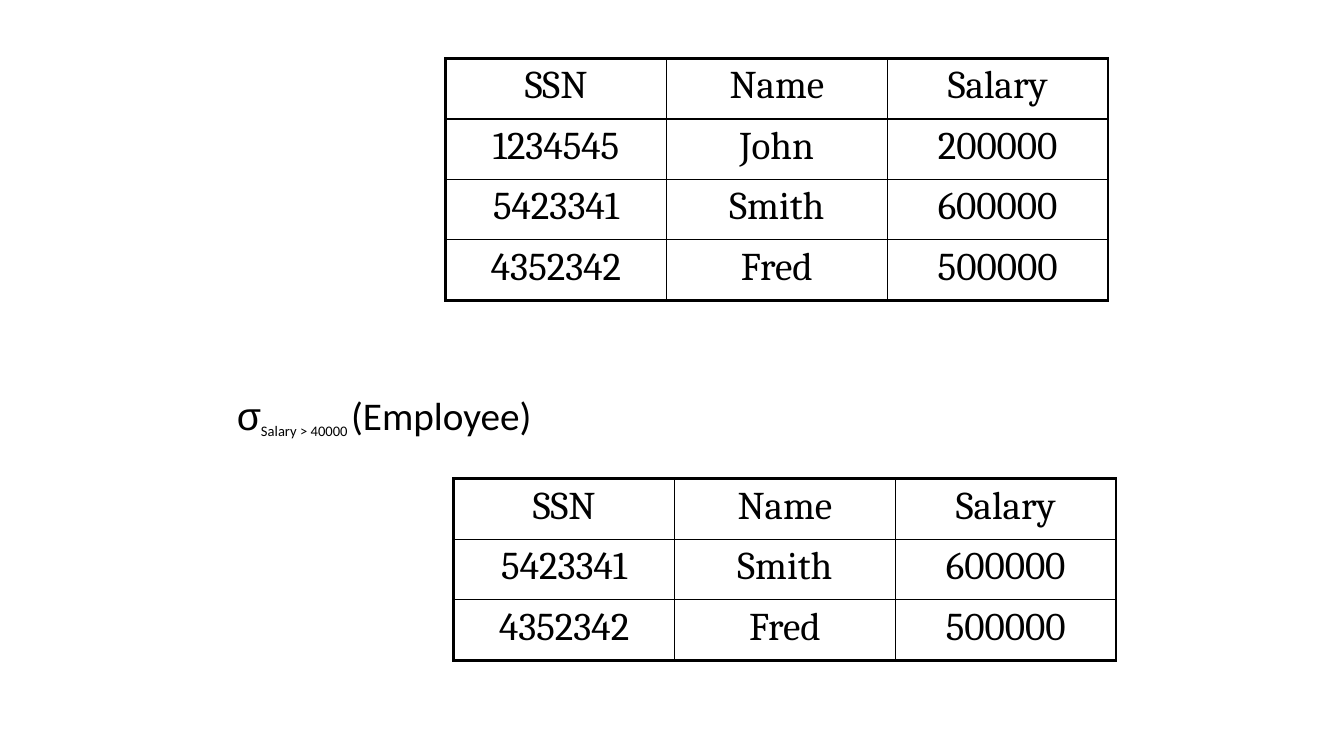
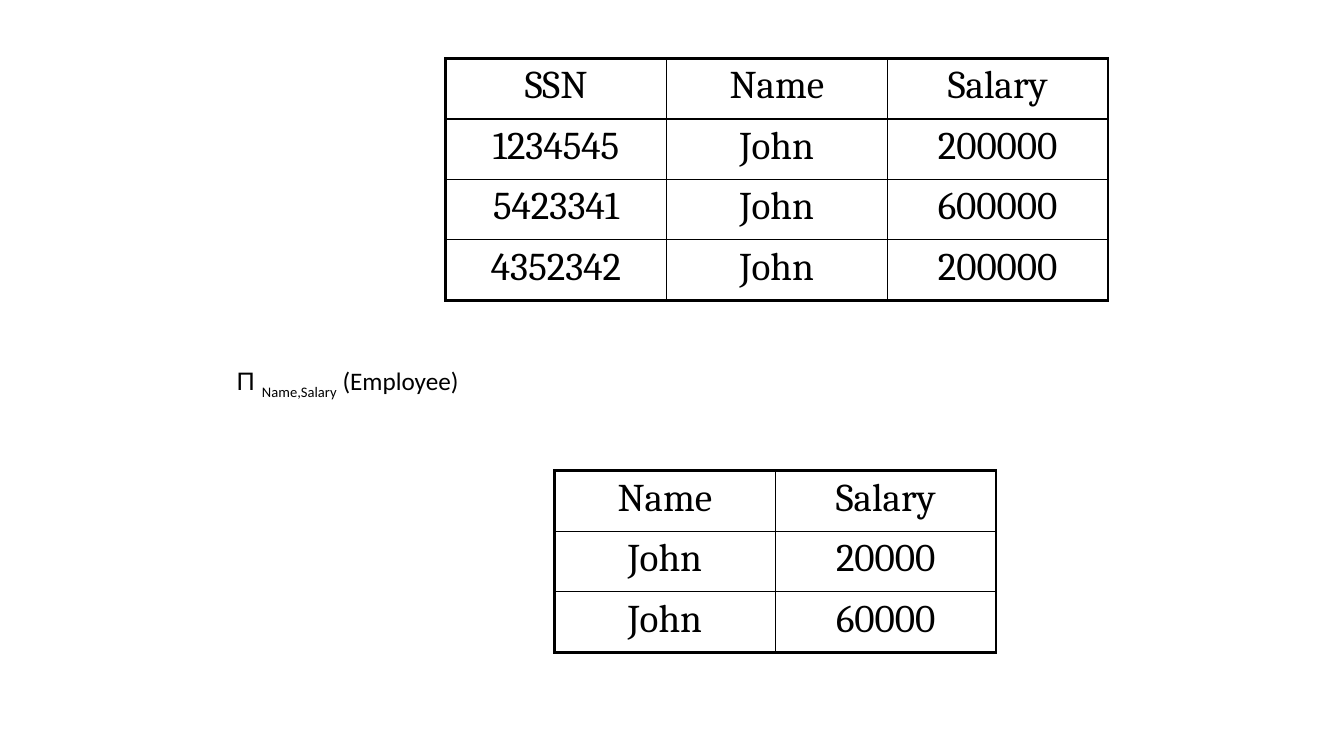
"""Build two slides showing selection and projection on an Employee relation."""
from dataclasses import dataclass

from lxml import etree
from pptx import Presentation
from pptx import util as u
from pptx.dml.color import RGBColor
from pptx.enum import text
from pptx.oxml import ns
from pptx.slide import Slide
from pptx.table import _Cell

COLORS = {"ink": "000000", "paper": "FFFFFF"}
INK = RGBColor.from_string(COLORS["ink"])
TABLE_FONT, SYMBOL_FONT, FORMULA_FONT = "Cambria", "Arial", "Calibri"
COLUMN_WIDTH, ROW_HEIGHT = u.Inches(2.19), u.Inches(0.6)
OUTER_LINE, INNER_LINE = u.Pt(2.25), u.Pt(1)
SUBSCRIPT_SIZE = 18


@dataclass(frozen=True)
class Relation:
    left: float
    top: float
    rows: list[tuple[str, ...]]


@dataclass(frozen=True)
class Formula:
    top: float
    width: float
    height: float
    size: int
    symbol: str
    subscript: str
    operand: str


@dataclass(frozen=True)
class Example:
    source: Relation
    formula: Formula
    result: Relation


HEADER = ("SSN", "Name", "Salary")
EXAMPLES = [
    Example(
        Relation(4.42, 0.58, [
            HEADER,
            ("1234545", "John", "200000"),
            ("5423341", "Smith", "600000"),
            ("4352342", "Fred", "500000"),
        ]),
        Formula(3.83, 3.35, 0.57, 28, "σ", "Salary > 40000 ", "(Employee)"),
        Relation(4.5, 4.75, [
            HEADER,
            ("5423341", "Smith", "600000"),
            ("4352342", "Fred", "500000"),
        ]),
    ),
    Example(
        Relation(4.42, 0.58, [
            HEADER,
            ("1234545", "John", "200000"),
            ("5423341", "John", "600000"),
            ("4352342", "John", "200000"),
        ]),
        Formula(3.58, 2.54, 0.4, 18, "Π ", "Name,Salary", " (Employee)"),
        Relation(5.5, 4.67, [
            HEADER[1:],
            ("John", "20000"),
            ("John", "60000"),
        ]),
    ),
]


def set_borders(cell: _Cell, outer_edges: dict[str, bool]) -> None:
    """Draw the four cell borders, heavier on the outside of the table."""
    properties = cell._tc.get_or_add_tcPr()
    for index, (edge, is_outer) in enumerate(outer_edges.items()):
        line = etree.Element(ns.qn(f"a:ln{edge}"), w=str(OUTER_LINE if is_outer else INNER_LINE))
        fill = etree.SubElement(line, ns.qn("a:solidFill"))
        etree.SubElement(fill, ns.qn("a:srgbClr"), val=COLORS["ink"])
        properties.insert(index, line)


def add_relation(slide: Slide, relation: Relation) -> None:
    """Add a relation as a plain ruled table."""
    row_count, column_count = len(relation.rows), len(relation.rows[0])
    table = slide.shapes.add_table(
        row_count, column_count, u.Inches(relation.left), u.Inches(relation.top),
        COLUMN_WIDTH * column_count, ROW_HEIGHT * row_count,
    ).table
    table.first_row = table.horz_banding = False
    for row, values in enumerate(relation.rows):
        for column, value in enumerate(values):
            cell = table.cell(row, column)
            cell.text = value
            cell.fill.background()
            set_borders(cell, {
                "L": column == 0,
                "R": column == column_count - 1,
                "T": row == 0,
                "B": row == row_count - 1,
            })
            paragraph = cell.text_frame.paragraphs[0]
            paragraph.alignment = text.PP_ALIGN.CENTER
            paragraph.font.name = TABLE_FONT
            paragraph.font.size = u.Pt(28)
            paragraph.font.color.rgb = INK


def add_formula(slide: Slide, formula: Formula) -> None:
    """Add an operator with its subscript and operand."""
    frame = slide.shapes.add_textbox(
        u.Inches(2.25), u.Inches(formula.top), u.Inches(formula.width), u.Inches(formula.height),
    ).text_frame
    frame.word_wrap = False
    frame.auto_size = text.MSO_AUTO_SIZE.SHAPE_TO_FIT_TEXT
    paragraph = frame.paragraphs[0]
    paragraph.font.color.rgb = INK
    for content, font, size, baseline in (
        (formula.symbol, SYMBOL_FONT, formula.size, 0),
        (formula.subscript, FORMULA_FONT, SUBSCRIPT_SIZE, -25000),
        (formula.operand, FORMULA_FONT, formula.size, 0),
    ):
        run = paragraph.add_run()
        run.text = content
        run.font.name = font
        run.font.size = u.Pt(size)
        if baseline:
            run._r.get_or_add_rPr().set("baseline", str(baseline))


def main() -> None:
    """Build and save the presentation."""
    presentation = Presentation()
    presentation.slide_width = u.Inches(13.33)
    presentation.slide_height = u.Inches(7.5)
    background = presentation.slide_master.background.fill
    background.solid()
    background.fore_color.rgb = RGBColor.from_string(COLORS["paper"])
    for example in EXAMPLES:
        slide = presentation.slides.add_slide(presentation.slide_layouts[6])
        add_formula(slide, example.formula)
        add_relation(slide, example.source)
        add_relation(slide, example.result)
    presentation.save("out.pptx")


if __name__ == "__main__":
    main()
